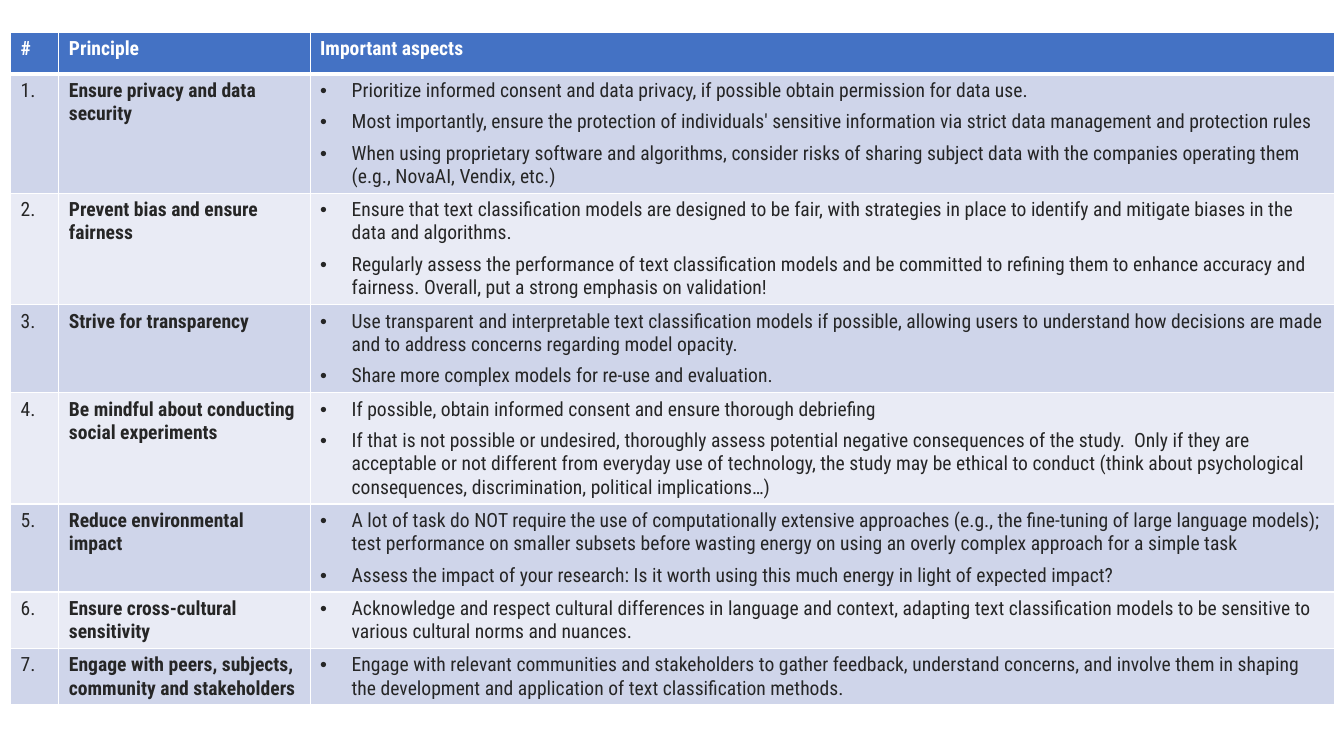
from dataclasses import dataclass
from lxml import etree
from pptx import Presentation
from pptx import util as u
from pptx.dml.color import RGBColor
from pptx.oxml import ns

Pt = u.Pt


@dataclass(frozen=True)
class Theme:
    font: str = "Roboto Condensed"
    size: float = 14
    head: str = "4472C4"
    bands: tuple[str, str] = ("CFD5EA", "E9EBF5")
    white: str = "FFFFFF"
    ink: str = "262626"
    thin: float = 1
    thick: float = 3
    indent: float = 22.5
    gap: float = 6


@dataclass(frozen=True)
class Rule:
    name: str
    points: tuple[str, ...]


THEME = Theme()
HEADS = ("#", "Principle", "Important aspects")
WIDTHS = (34.5, 179.5, 732)
ROW = 29.5
RULES = (
    Rule("Ensure privacy and data security", (
        "Prioritize informed consent and data privacy, if possible obtain "
        "permission for data use.",
        "Most importantly, ensure the protection of individuals' sensitive "
        "information via strict data management and protection rules",
        "When using proprietary software and algorithms, consider risks of "
        "sharing subject data with the companies operating them "
        "(e.g., NovaAI, Vendix, etc.)")),
    Rule("Prevent bias and ensure fairness", (
        "Ensure that text classification models are designed to be fair, with "
        "strategies in place to identify and mitigate biases in the data and "
        "algorithms.",
        "Regularly assess the performance of text classification models and be "
        "committed to refining them to enhance accuracy and fairness. Overall, "
        "put a strong emphasis on validation!")),
    Rule("Strive for transparency", (
        "Use transparent and interpretable text classification models if "
        "possible, allowing users to understand how decisions are made and to "
        "address concerns regarding model opacity.",
        "Share more complex models for re-use and evaluation.")),
    Rule("Be mindful about conducting social experiments", (
        "If possible, obtain informed consent and ensure thorough debriefing",
        "If that is not possible or undesired, thoroughly assess potential "
        "negative consequences of the study.  Only if they are acceptable or "
        "not different from everyday use of technology, the study may be "
        "ethical to conduct (think about psychological consequences, "
        "discrimination, political implications…)")),
    Rule("Reduce environmental impact", (
        "A lot of task do NOT require the use of computationally extensive "
        "approaches (e.g., the fine-tuning of large language models); test "
        "performance on smaller subsets before wasting energy on using an "
        "overly complex approach for a simple task",
        "Assess the impact of your research: Is it worth using this much "
        "energy in light of expected impact?")),
    Rule("Ensure cross-cultural sensitivity", (
        "Acknowledge and respect cultural differences in language and context, "
        "adapting text classification models to be sensitive to various "
        "cultural norms and nuances.",)),
    Rule("Engage with peers, subjects, community and stakeholders", (
        "Engage with relevant communities and stakeholders to gather feedback, "
        "understand concerns, and involve them in shaping the development and "
        "application of text classification methods.",)),
)


def edge(cell, sides: dict[str, float]) -> None:
    """Draw white borders, which must come before the fill."""
    props = cell._tc.get_or_add_tcPr()
    for i, (side, width) in enumerate(sides.items()):
        line = etree.Element(ns.qn(f"a:ln{side}"), w=str(int(Pt(width))))
        fill = etree.SubElement(line, ns.qn("a:solidFill"))
        etree.SubElement(fill, ns.qn("a:srgbClr"), val=THEME.white)
        props.insert(i, line)


def bullet(para) -> None:
    """Give a paragraph a hanging bullet and space after."""
    para.space_after = Pt(THEME.gap)
    props = para._p.get_or_add_pPr()
    inset = int(Pt(THEME.indent))
    props.set("marL", str(inset))
    props.set("indent", str(-inset))
    etree.SubElement(props, ns.qn("a:buFont"), typeface="Arial")
    etree.SubElement(props, ns.qn("a:buChar"), char="•")


def write(cell, lines: tuple[str, ...], color: str, bold: bool,
          dots: bool = False) -> None:
    """Write one paragraph for each line."""
    frame = cell.text_frame
    for i, line in enumerate(lines):
        para = frame.add_paragraph() if i else frame.paragraphs[0]
        if dots:
            bullet(para)
        run = para.add_run()
        run.text = line
        run.font.name = THEME.font
        run.font.size = Pt(THEME.size)
        run.font.bold = bold
        run.font.color.rgb = RGBColor.from_string(color)


def paint(cell, row: int) -> None:
    """Fill a cell and border it according to its row."""
    fill = THEME.bands[(row - 1) % 2] if row else THEME.head
    cell.fill.solid()
    cell.fill.fore_color.rgb = RGBColor.from_string(fill)
    edge(cell, {"L": THEME.thin, "R": THEME.thin,
                "T": THEME.thick if row == 1 else THEME.thin,
                "B": THEME.thin if row else THEME.thick})


# Slide
deck = Presentation()
deck.slide_width, deck.slide_height = Pt(960), Pt(540)
slide = deck.slides.add_slide(deck.slide_layouts[6])

# Table grid
count = len(RULES) + 1
grid = slide.shapes.add_table(count, len(HEADS), Pt(7.5), Pt(23.25),
                              Pt(sum(WIDTHS)), Pt(ROW * count)).table
grid.horz_banding = False
for col, width in zip(grid.columns, WIDTHS):
    col.width = Pt(width)
for r in range(count):
    for c in range(len(HEADS)):
        paint(grid.cell(r, c), r)

# Header
for c, head in enumerate(HEADS):
    write(grid.cell(0, c), (head,), THEME.white, True)

# Principles
for r, rule in enumerate(RULES, 1):
    write(grid.cell(r, 0), (f"{r}.",), THEME.ink, False)
    write(grid.cell(r, 1), (rule.name,), THEME.ink, True)
    write(grid.cell(r, 2), rule.points, THEME.ink, False, dots=True)

deck.save("out.pptx")
